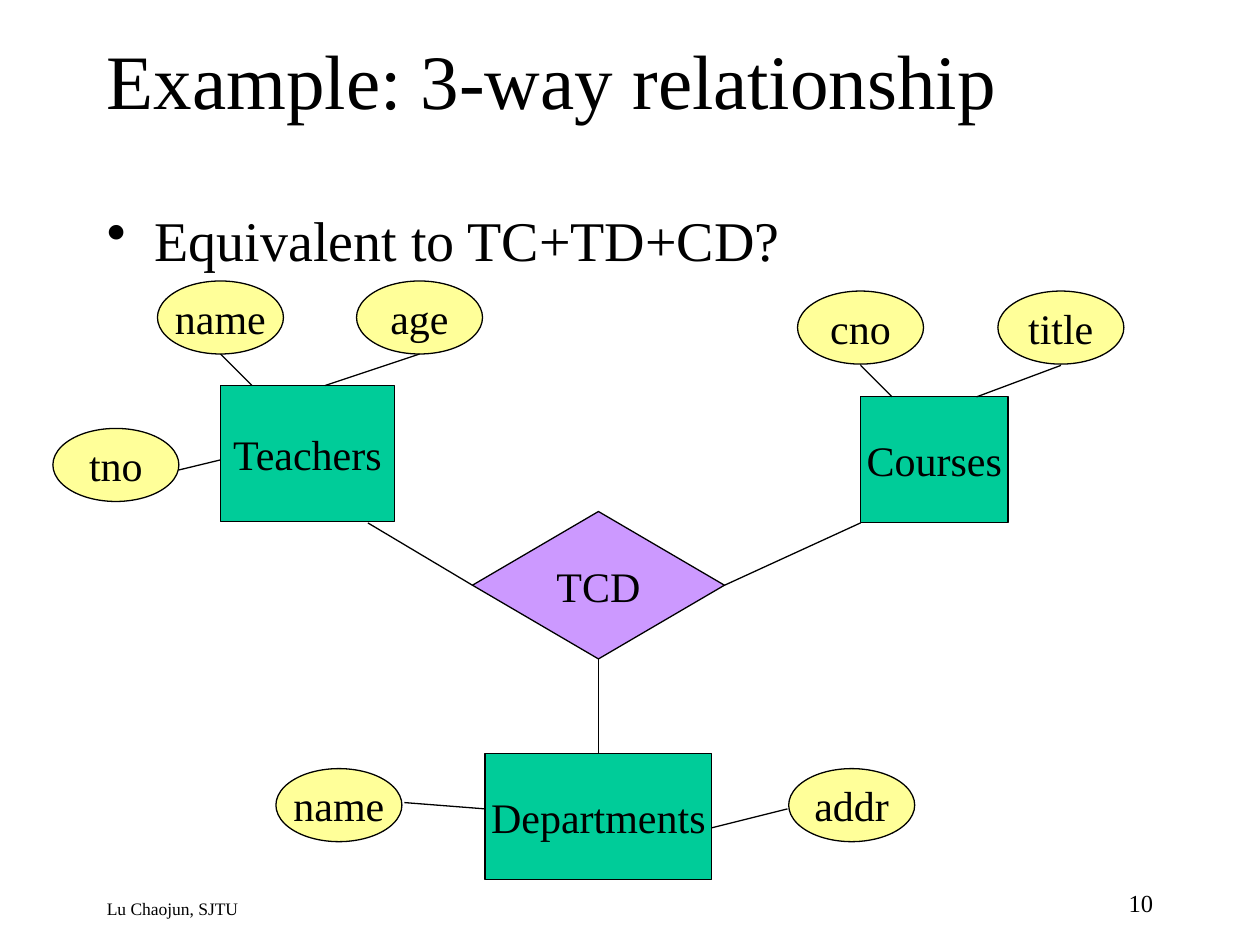
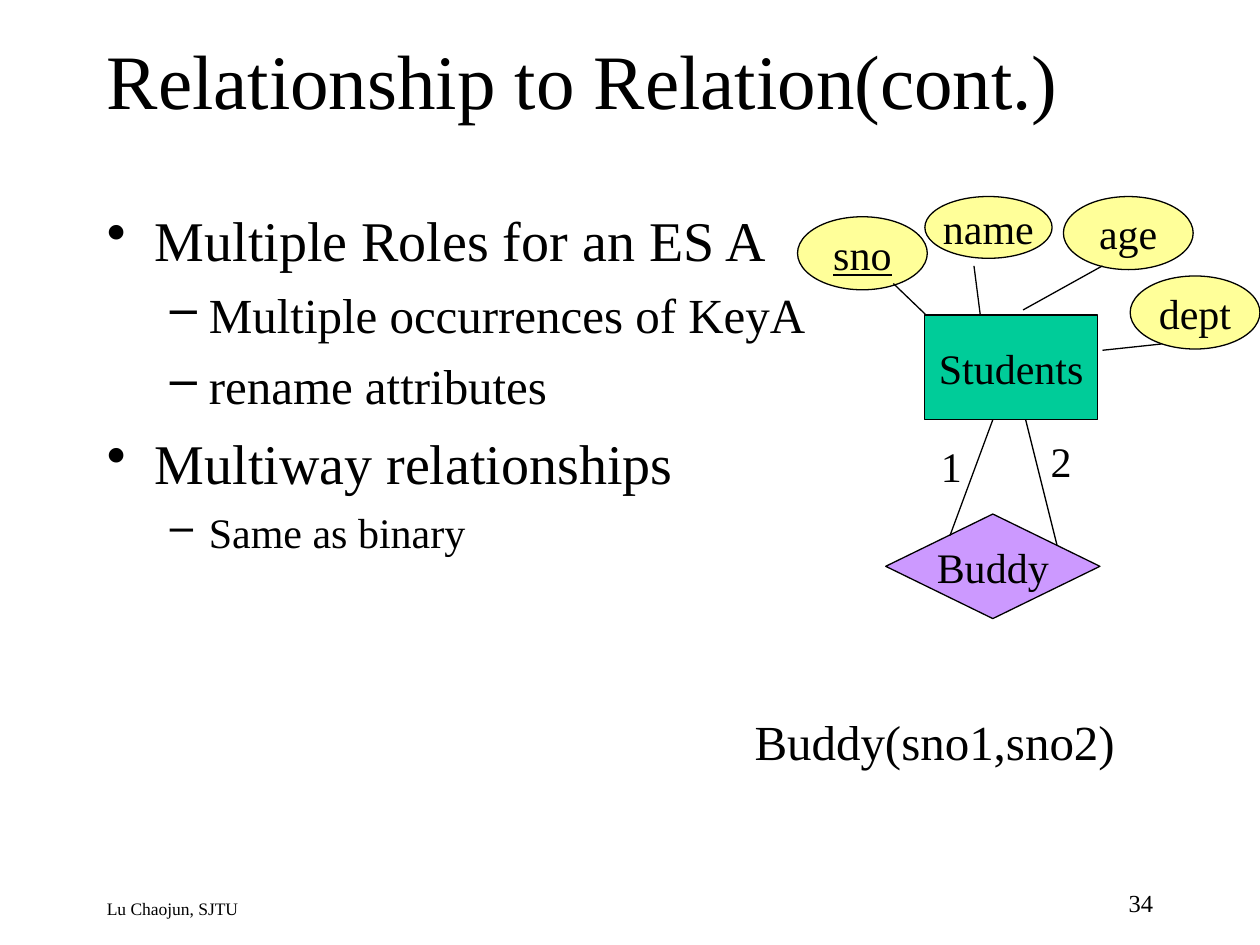
"""Build two entity-relationship slides on a shared grid."""
import pptx
import pptx.dml.color
import pptx.enum.shapes
import pptx.enum.text
import pptx.oxml
import pptx.oxml.ns
import pptx.util

COLORS = {"ink": "000000", "page": "FFFFFF", "entity": "00CC99",
          "attribute": "FFFF99", "relation": "CC99FF"}
FONT = "Times New Roman"
WIDTH, HEIGHT = pptx.util.Inches(10), pptx.util.Inches(7.5)
COLUMNS, ROWS = 10, 7.5
OVAL = (1, 0.58)
WIDE_OVAL = (1.03, 0.58)
BULLETS = {0: ("•", 0.38, -0.38), 1: ("–", 0.81, -0.31)}
SHAPES = pptx.enum.shapes.MSO_SHAPE
ALIGN = pptx.enum.text.PP_ALIGN
ANCHOR = pptx.enum.text.MSO_ANCHOR


def across(columns):
    """Turn grid columns into a length."""
    return round(WIDTH * columns / COLUMNS)


def down(rows):
    """Turn grid rows into a length."""
    return round(HEIGHT * rows / ROWS)


def place(left, top, width, height):
    """Turn a grid area into lengths."""
    return across(left), down(top), across(width), down(height)


def color(name):
    """Look up a named colour."""
    return pptx.dml.color.RGBColor.from_string(COLORS[name])


def write(para, text, size=24, align=ALIGN.LEFT, underline=False):
    """Write formatted text into a paragraph."""
    para.alignment = align
    span = para.add_run()
    span.text = text
    span.font.name = FONT
    span.font.size = pptx.util.Pt(size)
    span.font.color.rgb = color("ink")
    if underline:
        span.font.underline = True


def add_text(page, text, area, anchor=ANCHOR.TOP, wrap=True, **style):
    """Add a one-paragraph text box."""
    frame = page.shapes.add_textbox(*place(*area)).text_frame
    frame.word_wrap = wrap
    frame.vertical_anchor = anchor
    write(frame.paragraphs[0], text, **style)


def add_bullets(page, items):
    """Add the body list from (level, size, space before, text) items."""
    frame = page.shapes.add_textbox(*place(0.75, 1.58, 8.5, 5.08)).text_frame
    frame.word_wrap = True
    for index, (level, size, space, text) in enumerate(items):
        para = frame.add_paragraph() if index else frame.paragraphs[0]
        mark, margin, indent = BULLETS[level]
        para.level = level
        props = para._p.get_or_add_pPr()
        props.set("marL", str(pptx.util.Inches(margin)))
        props.set("indent", str(pptx.util.Inches(indent)))
        bullet = pptx.oxml.parse_xml(
            f'<a:buChar {pptx.oxml.ns.nsdecls("a")} char="{mark}"/>')
        props.append(bullet)
        if index:
            para.space_before = pptx.util.Pt(space)
        write(para, text, size=size)


def add_node(page, kind, fill, text, area, **style):
    """Add an outlined diagram shape with a centred label."""
    node = page.shapes.add_shape(kind, *place(*area))
    node.shadow.inherit = False
    node.fill.solid()
    node.fill.fore_color.rgb = color(fill)
    node.line.color.rgb = color("ink")
    node.line.width = pptx.util.Pt(0.75)
    frame = node.text_frame
    frame.word_wrap = False
    frame.vertical_anchor = ANCHOR.MIDDLE
    write(frame.paragraphs[0], text, align=ALIGN.CENTER, **style)
    return node


def add_entity(page, text, *area):
    """Add an entity rectangle."""
    return add_node(page, SHAPES.RECTANGLE, "entity", text, area)


def add_attribute(page, text, left, top, size=OVAL, **style):
    """Add an attribute oval."""
    return add_node(page, SHAPES.OVAL, "attribute", text, (left, top, *size), **style)


def add_relation(page, text, *area):
    """Add a relationship diamond."""
    return add_node(page, SHAPES.DIAMOND, "relation", text, area)


def add_link(page, start, end):
    """Draw a thin line between two grid points."""
    link = page.shapes.add_connector(
        pptx.enum.shapes.MSO_CONNECTOR.STRAIGHT,
        across(start[0]), down(start[1]), across(end[0]), down(end[1]))
    link.line.color.rgb = color("ink")
    link.line.width = pptx.util.Pt(0.75)
    link._element.spPr.append(pptx.oxml.parse_xml(
        f'<a:effectLst {pptx.oxml.ns.nsdecls("a")}/>'))
    return link


def add_page(deck, title, number):
    """Add a page with its title, footer and number."""
    page = deck.slides.add_slide(deck.slide_layouts[6])
    page.background.fill.solid()
    page.background.fill.fore_color.rgb = color("page")
    add_text(page, title, (0.75, 0, 8.5, 1.25), anchor=ANCHOR.MIDDLE, size=44)
    add_text(page, "Lu Chaojun, SJTU", (0.75, 7.08, 5.8, 0.25), size=10)
    add_text(page, number, (7.17, 7, 2.08, 0.33), size=14, align=ALIGN.RIGHT)
    return page


def build_three_way(deck):
    """Build the three-way relationship page."""
    page = add_page(deck, "Example: 3-way relationship", "10")
    add_bullets(page, [(0, 32, 0, "Equivalent to TC+TD+CD?")])
    add_entity(page, "Teachers", 1.75, 3.06, 1.38, 1.08)
    add_entity(page, "Courses", 6.83, 3.15, 1.17, 1)
    departments = add_entity(page, "Departments", 3.85, 5.98, 1.8, 1)
    for text, left, top in [
            ("name", 1.25, 2.23), ("age", 2.83, 2.23), ("tno", 0.42, 3.4),
            ("cno", 6.33, 2.31), ("title", 7.92, 2.31),
            ("name", 2.19, 6.1), ("addr", 6.26, 6.1)]:
        add_attribute(page, text, left, top)
    for start, end in [
            ((1.42, 3.73), (1.75, 3.65)), ((1.75, 2.81), (2, 3.06)),
            ((3.33, 2.81), (2.58, 3.06)), ((3.21, 6.37), (3.85, 6.42)),
            ((6.25, 6.42), (5.65, 6.57)), ((6.83, 2.9), (7.08, 3.15)),
            ((8.42, 2.9), (7.75, 3.15))]:
        add_link(page, start, end)
    relation = add_relation(page, "TCD", 3.75, 4.06, 2, 1.17)
    for site, start, end in [
            (1, (3.75, 4.65), (2.92, 4.15)), (2, (4.75, 5.23), (4.75, 5.98)),
            (3, (5.75, 4.65), (6.83, 4.15))]:
        link = add_link(page, start, end)
        link.begin_connect(relation, site)
        if site == 2:
            link.end_connect(departments, 0)


def build_roles(deck):
    """Build the page on multiple roles."""
    page = add_page(deck, "Relationship to Relation(cont.)", "34")
    add_bullets(page, [
        (0, 32, 0, "Multiple Roles for an ES A"),
        (1, 28, 7, "Multiple occurrences of KeyA"),
        (1, 28, 7, "rename attributes"),
        (0, 32, 8, "Multiway relationships"),
        (1, 24, 6, "Same as binary")])
    add_text(page, "Buddy(sno1,sno2)", (5.89, 5.6, 3.36, 0.55), size=28)
    add_entity(page, "Students", 7.34, 2.5, 1.37, 0.83)
    add_attribute(page, "sno", 6.33, 1.72, WIDE_OVAL, underline=True)
    add_attribute(page, "name", 7.34, 1.56, (1.01, 0.49))
    add_attribute(page, "age", 8.44, 1.56, WIDE_OVAL)
    add_attribute(page, "dept", 8.97, 2.19, WIDE_OVAL)
    add_relation(page, "Buddy", 7.03, 4.08, 1.7, 0.83)
    for start, end in [
            ((7.09, 2.25), (7.35, 2.5)), ((7.73, 2.11), (7.78, 2.5)),
            ((8.75, 2.11), (8.12, 2.46)), ((9.22, 2.73), (8.75, 2.78)),
            ((7.54, 4.25), (7.88, 3.33)), ((8.14, 3.33), (8.39, 4.33))]:
        add_link(page, start, end)
    for role, left, top in [("1", 7.37, 3.45), ("2", 8.24, 3.41)]:
        add_text(page, role, (left, top, 0.36, 0.5), wrap=False)


def main():
    """Build and save the deck."""
    deck = pptx.Presentation()
    deck.slide_width, deck.slide_height = WIDTH, HEIGHT
    build_three_way(deck)
    build_roles(deck)
    deck.save("out.pptx")


if __name__ == "__main__":
    main()
